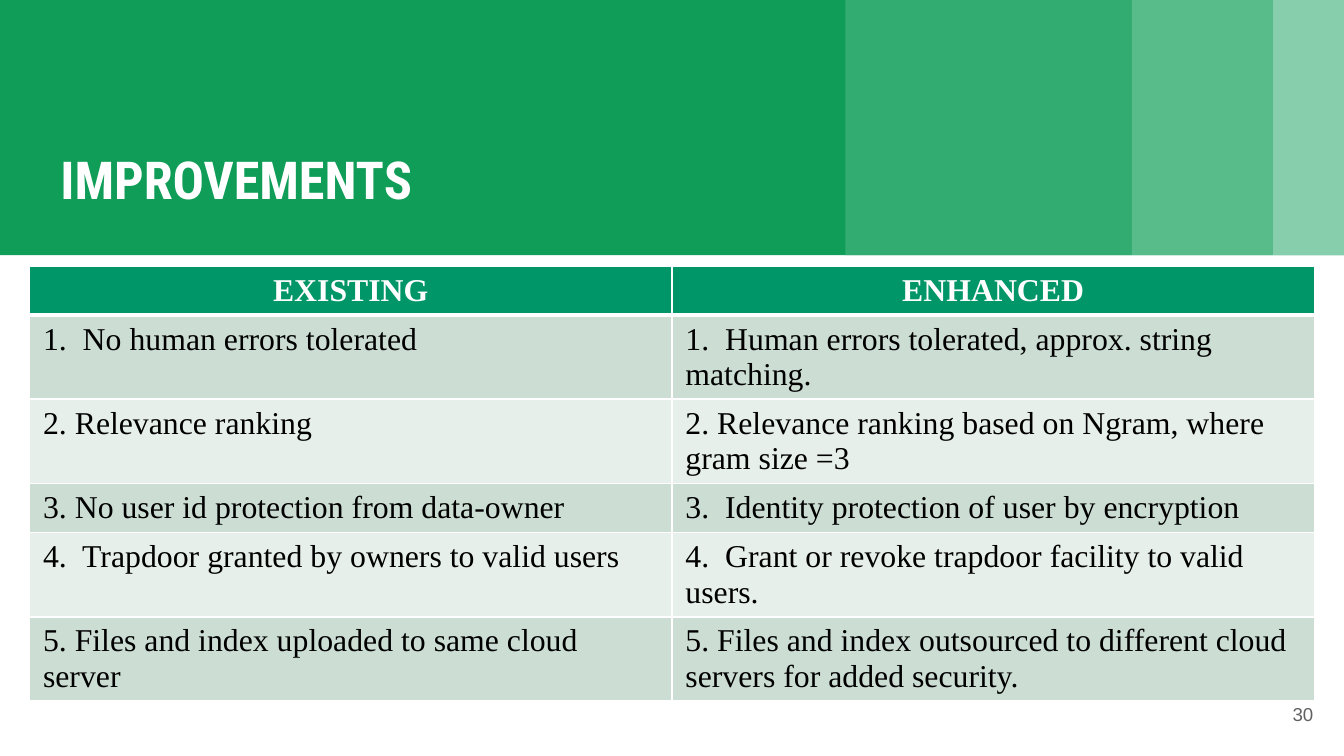
import pptx
import pptx.dml.color
import pptx.enum.shapes
import pptx.enum.text
import pptx.oxml
import pptx.oxml.ns
import pptx.util
from pptx.util import Inches

COLORS = {
    "band": "0F9D58", "band_mid": "33AC71", "band_light": "57BB8A",
    "band_pale": "87CEAC", "header": "009668", "row_odd": "CCDDD4",
    "row_even": "E7EFEB", "white": "FFFFFF", "black": "000000",
    "number": "616161",
}
ALIGN = pptx.enum.text.PP_ALIGN
ANCHOR = pptx.enum.text.MSO_ANCHOR

TABLE_ROWS = [
    ("EXISTING", "ENHANCED"),
    ("1.  No human errors tolerated",
     "1.  Human errors tolerated, approx. string matching."),
    ("2. Relevance ranking",
     "2. Relevance ranking based on Ngram, where gram size =3"),
    ("3. No user id protection from data-owner",
     "3.  Identity protection of user by encryption"),
    ("4.  Trapdoor granted by owners to valid users",
     "4.  Grant or revoke trapdoor facility to valid users."),
    ("5. Files and index uploaded to same cloud server",
     "5. Files and index outsourced to different cloud servers for added security."),
]
ROW_HEIGHTS = [0.36, 0.62, 0.62, 0.36, 0.62, 0.62]


def rgb(name):
    return pptx.dml.color.RGBColor.from_string(COLORS[name])


def write_text(frame, text, size, font="Times New Roman", color="black",
               bold=False, align=ALIGN.LEFT):
    paragraph = frame.paragraphs[0]
    paragraph.alignment = align
    run = paragraph.add_run()
    run.text = text
    run.font.name = font
    run.font.size = pptx.util.Pt(size)
    run.font.bold = bold
    run.font.color.rgb = rgb(color)


def set_frame(frame, anchor):
    frame.word_wrap = True
    frame.auto_size = pptx.enum.text.MSO_AUTO_SIZE.NONE
    frame.vertical_anchor = anchor
    frame.margin_left = frame.margin_right = Inches(0.1)
    frame.margin_top = frame.margin_bottom = Inches(0.1)


def add_banner(slide, left, top, width, height):
    # Full band first, then lighter blocks up to the right edge
    blocks = [(0, width, "band"), (6.29, 8.42, "band_mid"),
              (8.42, 9.47, "band_light"), (9.47, width, "band_pale")]
    for start, end, color in blocks:
        shape = slide.shapes.add_shape(
            pptx.enum.shapes.MSO_SHAPE.RECTANGLE, Inches(left + start),
            Inches(top), Inches(end - start), Inches(height))
        shape.shadow.inherit = False
        shape.fill.solid()
        shape.fill.fore_color.rgb = rgb(color)
        shape.line.fill.background()

    # Title, brought in front of the band
    title = slide.shapes.title
    title.left, title.top = Inches(left + 0.35), Inches(top + 0.16)
    title.width, title.height = Inches(5.74), Inches(1.5)
    set_frame(title.text_frame, ANCHOR.BOTTOM)
    write_text(title.text_frame, "IMPROVEMENTS", 28,
               font="Roboto Condensed", color="white", bold=True)
    slide.shapes._spTree.append(title._element)


def set_borders(cell, widths):
    properties = cell._tc.get_or_add_tcPr()
    for index, (side, points) in enumerate(widths.items()):
        line = pptx.oxml.parse_xml(
            f'<a:{side} {pptx.oxml.ns.nsdecls("a")} w="{pptx.util.Pt(points)}">'
            f'<a:solidFill><a:srgbClr val="{COLORS["white"]}"/></a:solidFill>'
            f'</a:{side}>')
        properties.insert(index, line)


def add_comparison(slide, left, top, width, height):
    table = slide.shapes.add_table(
        len(TABLE_ROWS), 2, Inches(left), Inches(top),
        Inches(width), Inches(height)).table
    for column in table.columns:
        column.width = Inches(width / 2)
    for index, (texts, row_height) in enumerate(zip(TABLE_ROWS, ROW_HEIGHTS)):
        table.rows[index].height = Inches(row_height)
        header = index == 0
        fill = "header" if header else ("row_odd" if index % 2 else "row_even")
        for column, text in enumerate(texts):
            cell = table.cell(index, column)
            cell.fill.solid()
            cell.fill.fore_color.rgb = rgb(fill)
            set_borders(cell, {"lnL": 1, "lnR": 1,
                               "lnT": 3 if index == 1 else 1,
                               "lnB": 3 if header else 1})
            write_text(cell.text_frame, text, 17, bold=header,
                       color="white" if header else "black",
                       align=ALIGN.CENTER if header else ALIGN.LEFT)


def add_page_number(slide, left, top, width, height):
    box = slide.shapes.add_textbox(Inches(left), Inches(top),
                                   Inches(width), Inches(height))
    set_frame(box.text_frame, ANCHOR.MIDDLE)
    write_text(box.text_frame, "30", 10, font="Arial", color="number",
               align=ALIGN.RIGHT)


def main():
    presentation = pptx.Presentation()
    # Widescreen, 16:9
    presentation.slide_width = Inches(10)
    presentation.slide_height = Inches(10 * 9 / 16)
    slide = presentation.slides.add_slide(presentation.slide_layouts[5])
    add_banner(slide, 0, 0, 10, 1.9)
    add_page_number(slide, 9.27, 5.1, 0.6, 0.43)
    add_comparison(slide, 0.22, 1.98, 9.56, sum(ROW_HEIGHTS))
    presentation.save("out.pptx")


if __name__ == "__main__":
    main()
